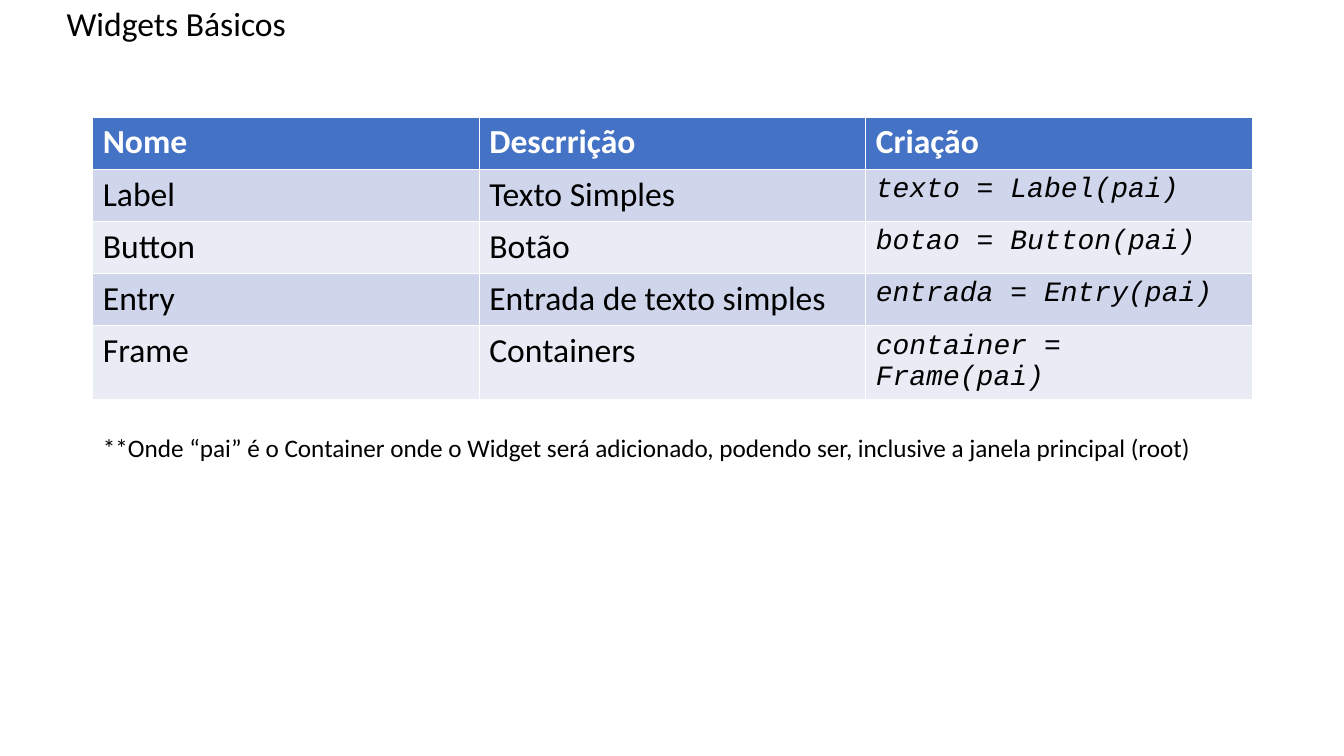
from dataclasses import dataclass

from lxml import etree
from pptx import Presentation
from pptx.dml.color import RGBColor
from pptx.enum.text import MSO_ANCHOR, MSO_AUTO_SIZE, PP_ALIGN
from pptx.oxml.ns import qn
from pptx.util import Inches, Pt


@dataclass(frozen=True)
class Theme:
    text_font: str = "Calibri"
    code_font: str = "Courier New"
    ink: str = "000000"
    white: str = "FFFFFF"
    header: str = "4472C4"
    bands: tuple = ("CFD5EA", "E9EBF5")
    large: int = 24
    code: int = 20
    note: int = 18


THEME = Theme()
HEADINGS = ("Nome", "Descrrição", "Criação")
WIDGETS = (
    ("Label", "Texto Simples", "texto = Label(pai)"),
    ("Button", "Botão", "botao = Button(pai)"),
    ("Entry", "Entrada de texto simples", "entrada = Entry(pai)"),
    ("Frame", "Containers", "container = Frame(pai)"),
)
NOTE = ("**Onde “pai” é o Container onde o Widget será adicionado, "
        "podendo ser, inclusive a janela principal (root)")


def style_font(font, size, color=THEME.ink, name=THEME.text_font,
               bold=False, italic=False):
    font.name, font.size = name, Pt(size)
    font.bold, font.italic = bold, italic
    font.color.rgb = RGBColor.from_string(color)


def fill_placeholder(holder, box, text, size):
    """Move a title or body placeholder into the box and set its one paragraph."""
    holder.left, holder.top, holder.width, holder.height = map(Inches, box)
    frame = holder.text_frame
    frame.text = text
    frame.word_wrap = True
    frame.auto_size = MSO_AUTO_SIZE.NONE
    frame.vertical_anchor = MSO_ANCHOR.TOP
    para = frame.paragraphs[0]
    para.alignment = PP_ALIGN.LEFT
    para.line_spacing = 0.9
    style_font(para.font, size)
    return para


def add_note(holder, box):
    para = fill_placeholder(holder, box, NOTE, THEME.note)
    para.space_before = Pt(10)
    # Body text without bullet or indent
    props = para._p.get_or_add_pPr()
    props.set("marL", "0")
    props.set("indent", "0")
    bullet = etree.Element(qn("a:buNone"))
    props.find(qn("a:spcBef")).addnext(bullet)


def add_widget_table(page, box):
    rows = (HEADINGS, *WIDGETS)
    table = page.shapes.add_table(len(rows), len(HEADINGS), *map(Inches, box)).table
    for row_index, row in enumerate(rows):
        is_header = row_index == 0
        fill = THEME.header if is_header else THEME.bands[(row_index - 1) % 2]
        for column, text in enumerate(row):
            cell = table.cell(row_index, column)
            cell.text = text
            cell.fill.solid()
            cell.fill.fore_color.rgb = RGBColor.from_string(fill)
            font = cell.text_frame.paragraphs[0].font
            if is_header:
                style_font(font, THEME.large, THEME.white, bold=True)
            elif column == 2:
                style_font(font, THEME.code, name=THEME.code_font, italic=True)
            else:
                style_font(font, THEME.large)


def build_widgets_page(deck):
    page = deck.slides.add_slide(deck.slide_layouts[1])
    # Title
    fill_placeholder(page.shapes.title, (0.56, 0.02, 11.5, 0.35),
                     "Widgets Básicos", THEME.large)
    # Note under the table
    add_note(page.placeholders[1], (0.92, 4.27, 11.5, 2.44))
    # Widget table
    add_widget_table(page, (0.92, 1.16, 11.5, 2.59))


def main():
    deck = Presentation()
    deck.slide_width, deck.slide_height = Inches(13.33), Inches(7.5)
    build_widgets_page(deck)
    deck.save("out.pptx")


if __name__ == "__main__":
    main()
